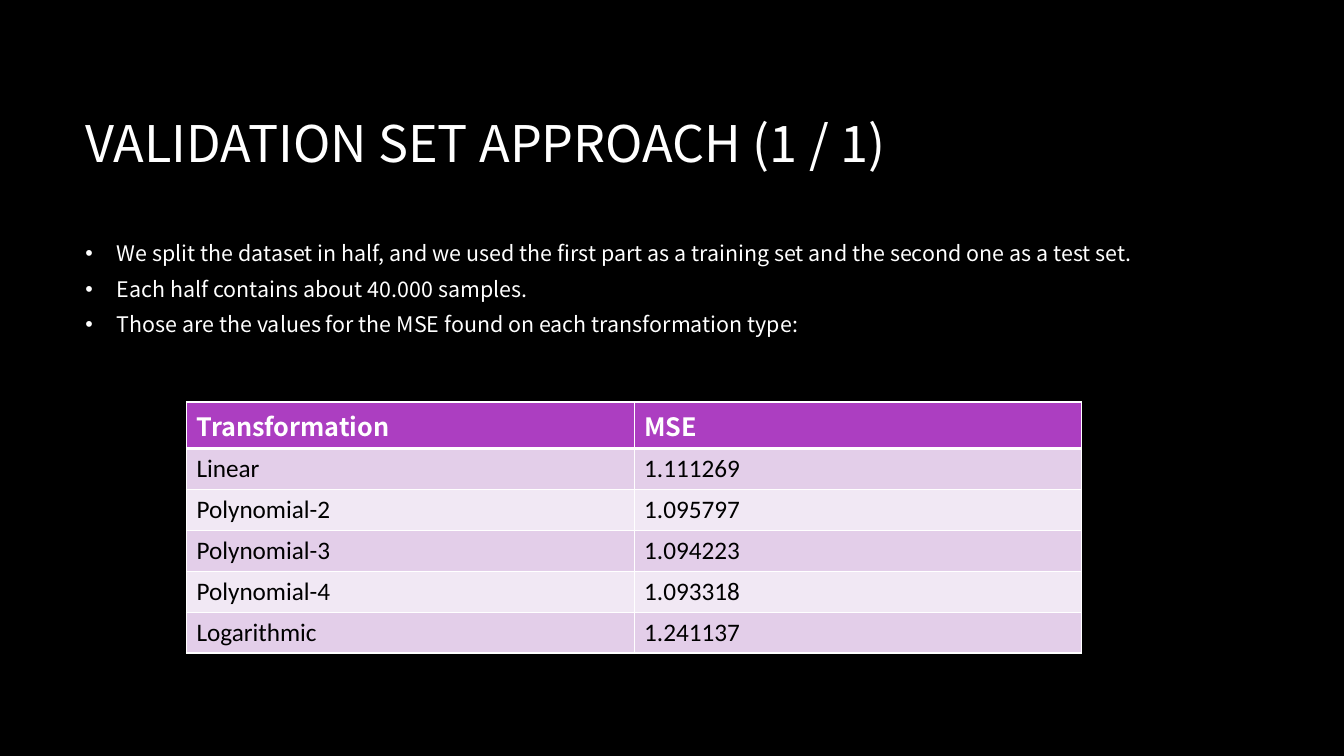
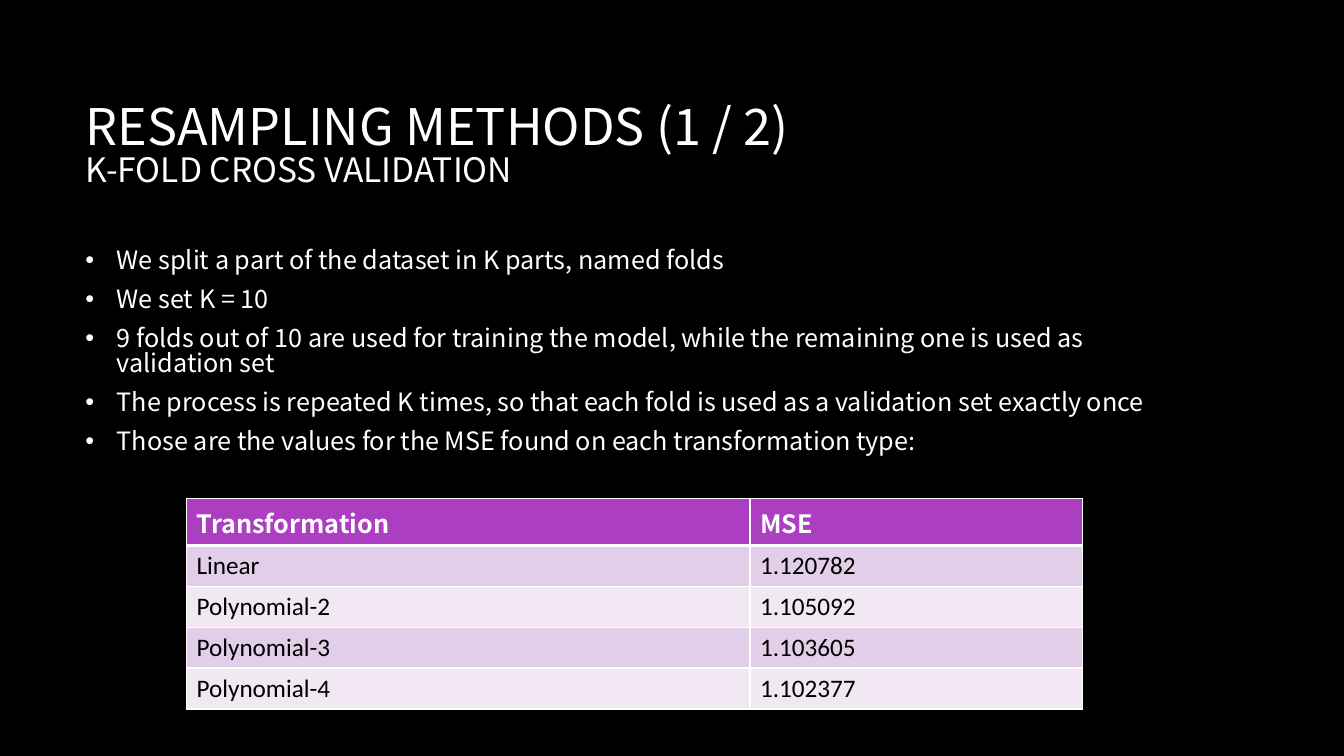
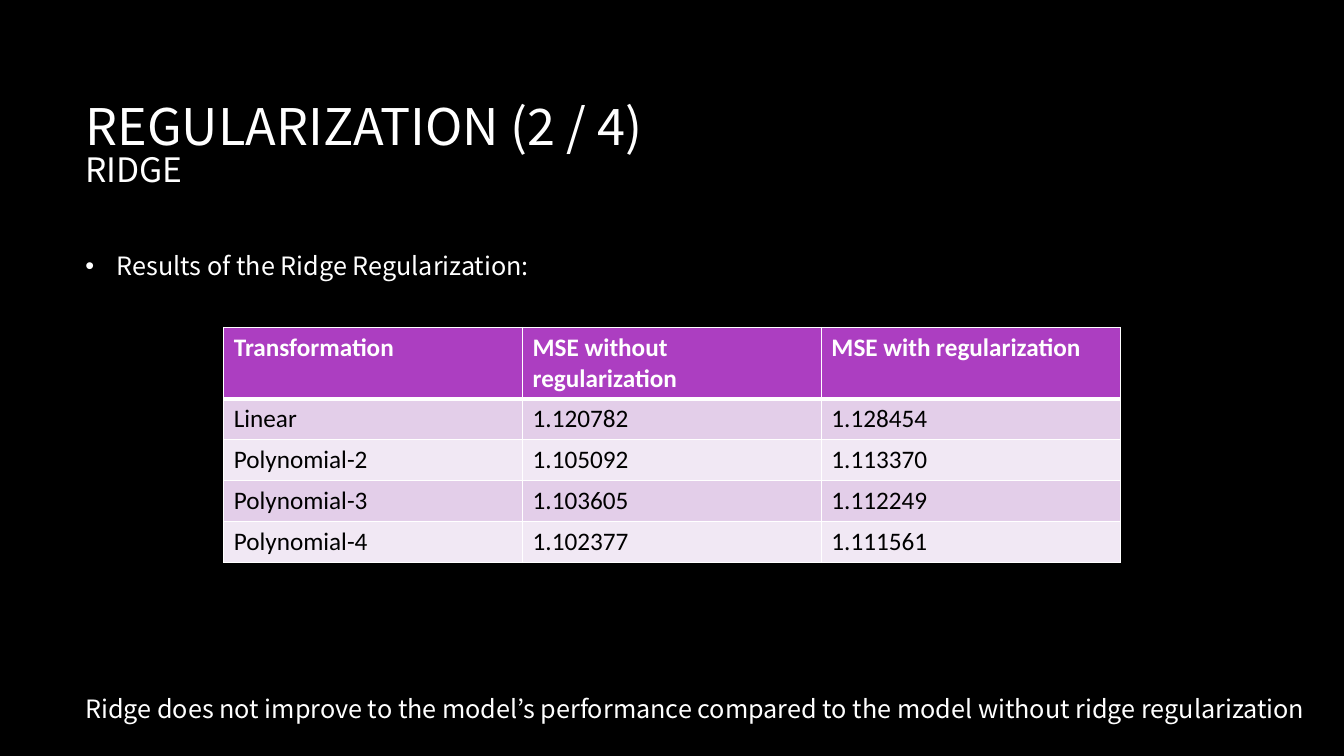
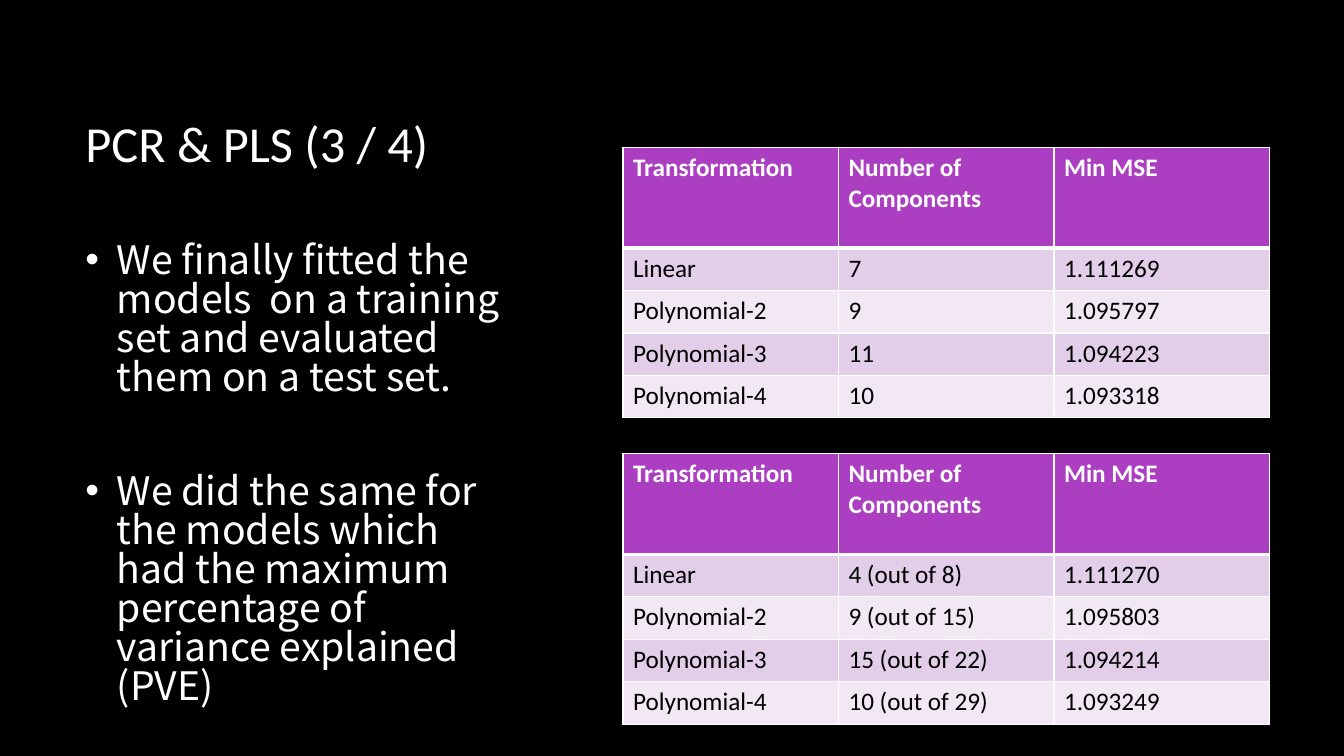
from lxml import etree
from pptx import Presentation
from pptx.dml.color import RGBColor
from pptx.enum.text import MSO_ANCHOR, MSO_AUTO_SIZE, PP_ALIGN
from pptx.oxml.ns import qn
from pptx.util import Cm, Pt

MIDDLE = MSO_ANCHOR.MIDDLE
NO_FIT = MSO_AUTO_SIZE.NONE
LEFT = PP_ALIGN.LEFT

BLACK = RGBColor(0x00, 0x00, 0x00)
WHITE = RGBColor(0xFF, 0xFF, 0xFF)
PURPLE = RGBColor(0xAC, 0x3E, 0xC1)
LILAC = RGBColor(0xE3, 0xCE, 0xE9)
PALE_LILAC = RGBColor(0xF1, 0xE8, 0xF4)

SANS = "Noto Sans CJK JP"
CALIBRI = "Calibri"

MARGIN = 1.9
TITLE_TOP = 1.7
TITLE_HEIGHT = 4.04
WIDE = 31.39
NARROW = 28.14
BODY_TOP = TITLE_TOP + TITLE_HEIGHT
LINE_SPACING = 0.83
INDENT = 0.79
SPACE_AFTER = 10


def write(p, text, size=18, font=SANS, color=WHITE, bold=False):
    r = p.add_run()
    r.text = text
    r.font.size = Pt(size)
    r.font.name = font
    r.font.color.rgb = color
    r.font.bold = bold
    return r


def place(shape, left, top, width, height):
    shape.left, shape.top = Cm(left), Cm(top)
    shape.width, shape.height = Cm(width), Cm(height)
    tf = shape.text_frame
    tf.word_wrap = True
    tf.auto_size = NO_FIT
    tf.vertical_anchor = MIDDLE
    return tf


def format_paragraph(p, after=0):
    p.alignment = LEFT
    p.line_spacing = LINE_SPACING
    p.space_before = Pt(0)
    p.space_after = Pt(after)


def add_bullet(p):
    pPr = p._p.get_or_add_pPr()
    pPr.set("marL", str(Cm(INDENT)))
    pPr.set("indent", str(-Cm(INDENT)))
    color = etree.SubElement(pPr, qn("a:buClr"))
    etree.SubElement(color, qn("a:srgbClr"), val=str(WHITE))
    etree.SubElement(pPr, qn("a:buFont"), typeface="Arial")
    etree.SubElement(pPr, qn("a:buChar"), char="•")


def add_slide(prs, title, subtitle=None, width=WIDE, font=SANS):
    s = prs.slides.add_slide(prs.slide_layouts[1])
    tf = place(s.shapes.title, MARGIN, TITLE_TOP, width, TITLE_HEIGHT)
    p = tf.paragraphs[0]
    format_paragraph(p)
    write(p, title, size=36, font=font)
    if subtitle:
        p.add_line_break()
        write(p, subtitle, size=24, font=font)
    return s


def add_list(s, items, width, height, top=BODY_TOP, size=18,
             after=SPACE_AFTER, bottom_inset=0.13):
    tf = place(s.placeholders[1], MARGIN, top, width, height)
    tf.margin_bottom = Cm(bottom_inset)
    for i, item in enumerate(items):
        p = tf.add_paragraph() if i else tf.paragraphs[0]
        format_paragraph(p, after)
        add_bullet(p)
        write(p, item, size=size)


def add_note(s, text, top):
    sp = s.shapes.add_textbox(Cm(MARGIN), Cm(top), Cm(WIDE), Cm(1.02))
    sp.text_frame.word_wrap = True
    write(sp.text_frame.paragraphs[0], text)


def set_borders(cell, **widths):
    tcPr = cell._tc.get_or_add_tcPr()
    for side, width in widths.items():
        ln = etree.SubElement(tcPr, qn("a:ln" + side), w=str(Pt(width)))
        fill = etree.SubElement(ln, qn("a:solidFill"))
        etree.SubElement(fill, qn("a:srgbClr"), val=str(WHITE))


def add_table(s, rows, left, top, col_widths, header_height, row_height=1.03,
              header_font=CALIBRI):
    height = header_height + row_height * (len(rows) - 1)
    table = s.shapes.add_table(len(rows), len(col_widths), Cm(left), Cm(top),
                               Cm(sum(col_widths)), Cm(height)).table
    for column, width in zip(table.columns, col_widths):
        column.width = Cm(width)
    for i, values in enumerate(rows):
        header = i == 0
        table.rows[i].height = Cm(header_height if header else row_height)
        fill = PURPLE if header else LILAC if i % 2 else PALE_LILAC
        for j, value in enumerate(values):
            cell = table.cell(i, j)
            set_borders(cell, L=1, R=1, T=3 if i == 1 else 1, B=3 if header else 1)
            cell.fill.solid()
            cell.fill.fore_color.rgb = fill
            write(cell.text_frame.paragraphs[0], value, bold=header,
                  font=header_font if header else CALIBRI,
                  color=WHITE if header else BLACK)


def build_validation(prs):
    s = add_slide(prs, "VALIDATION SET APPROACH (1 / 1)", width=NARROW)
    add_list(s, [
        "We split the dataset in half, and we used the first part as a training set "
        "and the second one as a test set.",
        "Each half contains about 40.000 samples.",
        "Those are the values for the MSE found on each transformation type:",
    ], NARROW, 3.18, size=15.3)
    add_table(s, [
        ("Transformation", "MSE"),
        ("Linear", "1.111269"),
        ("Polynomial-2", "1.095797"),
        ("Polynomial-3", "1.094223"),
        ("Polynomial-4", "1.093318"),
        ("Logarithmic", "1.241137"),
    ], 4.7, 10.13, [11.28] * 2, 1.17, header_font=SANS)


def build_resampling(prs):
    s = add_slide(prs, "RESAMPLING METHODS (1 / 2)", "K-FOLD CROSS VALIDATION")
    add_list(s, [
        "We split a part of the dataset in K parts, named folds",
        "We set K = 10",
        "9 folds out of 10 are used for training the model, while the remaining one "
        "is used as validation set",
        "The process is repeated K times, so that each fold is used as a validation "
        "set exactly once",
        "Those are the values for the MSE found on each transformation type:",
    ], NARROW, 6.3)
    add_table(s, [
        ("Transformation", "MSE"),
        ("Linear", "1.120782"),
        ("Polynomial-2", "1.105092"),
        ("Polynomial-3", "1.103605"),
        ("Polynomial-4", "1.102377"),
    ], 4.7, 12.57, [14.2, 8.38], 1.17, header_font=SANS)


def build_ridge(prs):
    s = add_slide(prs, "REGULARIZATION (2 / 4)", "RIDGE")
    add_list(s, ["Results of the Ridge Regularization:"], 13.21, 5.94, top=4.9,
             bottom_inset=2.36)
    add_note(s, "Ridge does not improve to the model’s performance compared to the "
                "model without ridge regularization", 17.35)
    add_table(s, [
        ("Transformation", "MSE without regularization", "MSE with regularization"),
        ("Linear", "1.120782", "1.128454"),
        ("Polynomial-2", "1.105092", "1.113370"),
        ("Polynomial-3", "1.103605", "1.112249"),
        ("Polynomial-4", "1.102377", "1.111561"),
    ], 5.64, 8.25, [7.53] * 3, 1.8)


def build_components(prs):
    s = add_slide(prs, "PCR & PLS (3 / 4)", font=CALIBRI)
    add_list(s, [
        "We finally fitted the models  on a training set and evaluated them on a "
        "test set.",
        "We did the same for the models which had the maximum percentage of variance "
        "explained (PVE)",
    ], 11.38, 12.5, size=28, after=53.5)
    header = ("Transformation", "Number of Components", "Min MSE")
    fitted = [
        ("Linear", "7", "1.111269"),
        ("Polynomial-2", "9", "1.095797"),
        ("Polynomial-3", "11", "1.094223"),
        ("Polynomial-4", "10", "1.093318"),
    ]
    max_variance = [
        ("Linear", "4 (out of 8)", "1.111270"),
        ("Polynomial-2", "9 (out of 15)", "1.095803"),
        ("Polynomial-3", "15 (out of 22)", "1.094214"),
        ("Polynomial-4", "10 (out of 29)", "1.093249"),
    ]
    for top, rows in ((3.71, fitted), (11.43, max_variance)):
        add_table(s, [header] + rows, 15.7, top, [5.43] * 3, 2.54, row_height=1.07)


def main():
    prs = Presentation()
    prs.slide_width, prs.slide_height = Cm(33.87), Cm(19.05)
    background = prs.slide_master.background.fill
    background.solid()
    background.fore_color.rgb = BLACK
    build_validation(prs)
    build_resampling(prs)
    build_ridge(prs)
    build_components(prs)
    prs.save("out.pptx")


if __name__ == "__main__":
    main()
